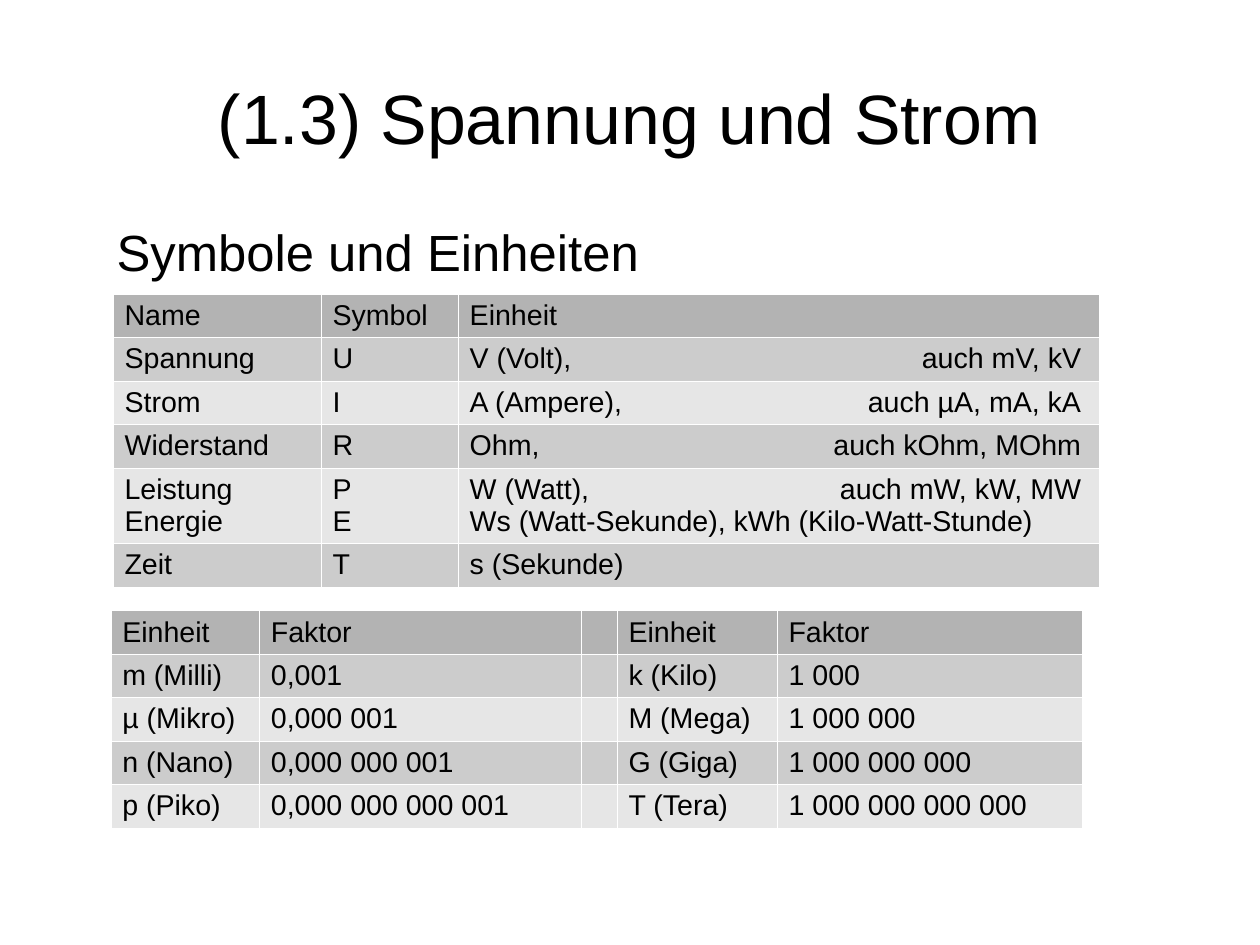
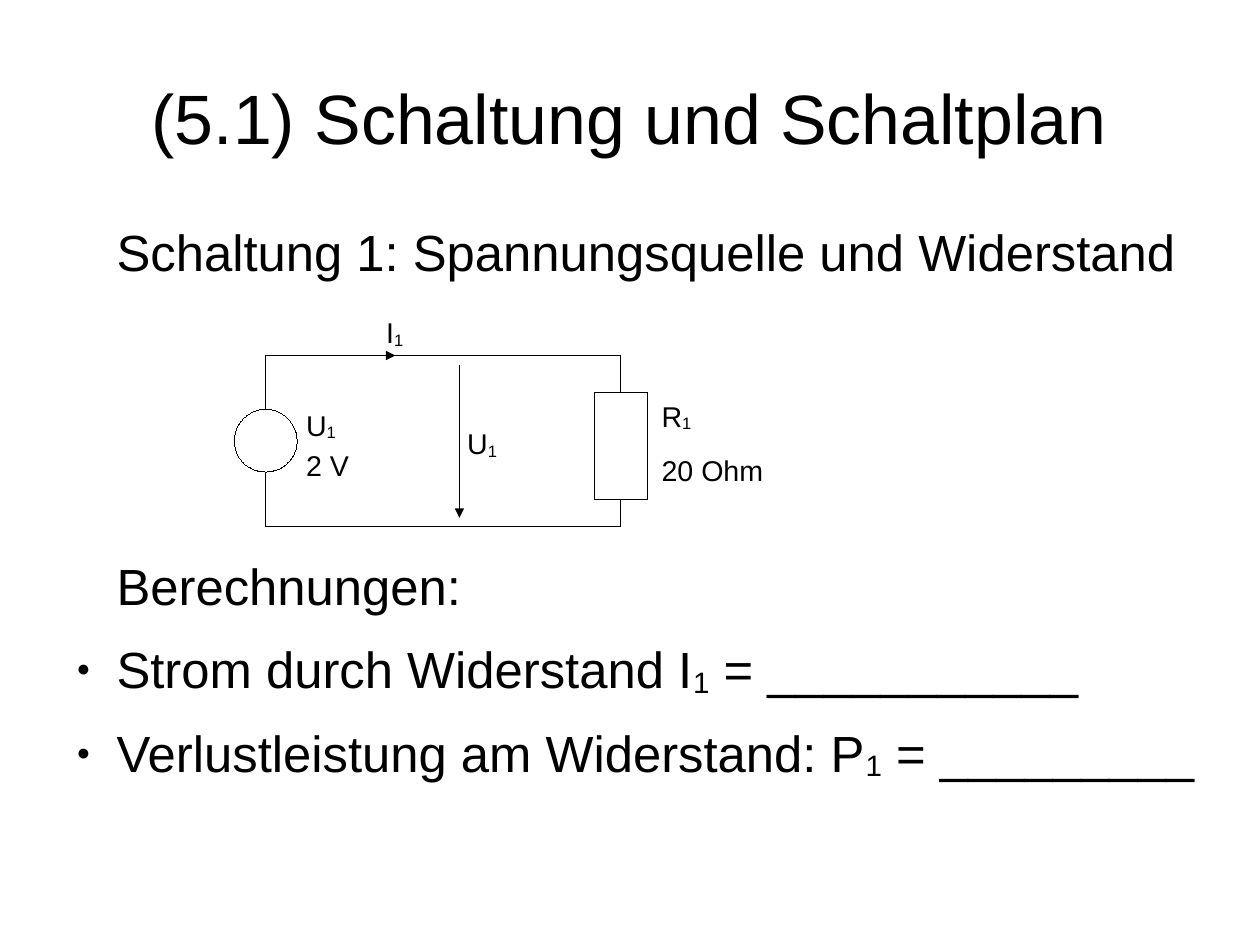
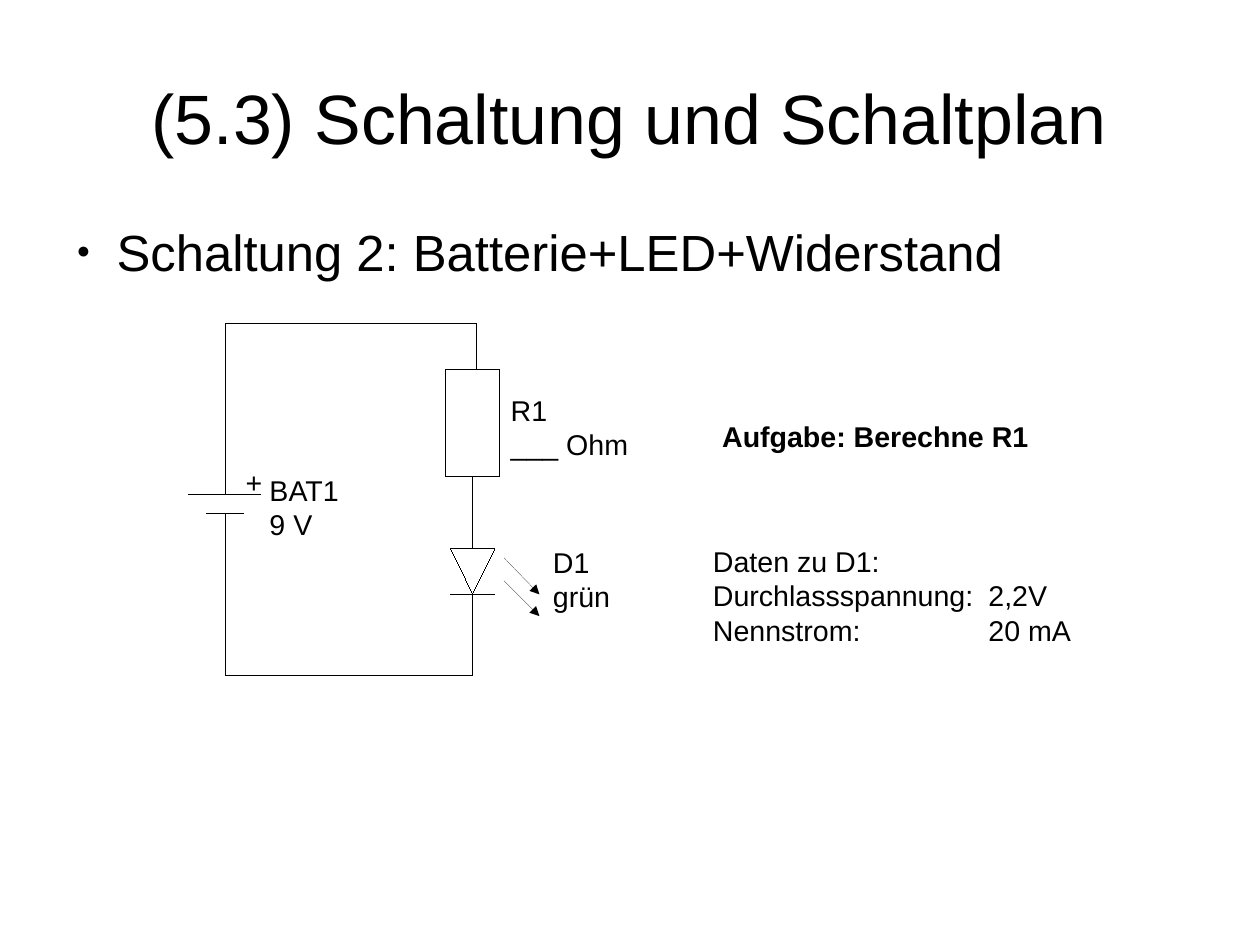
from lxml.etree import SubElement as Sub
from pptx import Presentation
from pptx.dml.color import RGBColor
from pptx.enum.shapes import MSO_CONNECTOR as Link, MSO_SHAPE as Form
from pptx.enum.text import MSO_ANCHOR as Anchor, MSO_AUTO_SIZE as Fit, PP_ALIGN as Align
from pptx.oxml.ns import qn
from pptx.util import Emu, Inches, Pt

BLACK = RGBColor(0, 0, 0)
WHITE = RGBColor(255, 255, 255)
HEAD = RGBColor(0xB3, 0xB3, 0xB3)
BANDS = (RGBColor(0xE6, 0xE6, 0xE6), RGBColor(0xCC, 0xCC, 0xCC))
FONT = "Arial"
WIDE, HIGH = Emu(10080625), Emu(7559675)  # 28 by 21 cm screen page
TITLE_BOX = (0.55, 0.33, 9.92, 1.38)
BODY_BOX = (0.55, 1.93, 9.92, 4.79)
GAP = 14.2      # points between body lines
DRAW_GAP = 172  # points left free for a drawing
ROW, LINE = 0.38, 0.28

# A line of text is a tuple of runs; every second run is a subscript.
# Body lines: runs, bullet, space before
UNITS = {
    "title": "(1.3) Spannung und Strom",
    "body": [(("Symbole und Einheiten",), False, GAP)],
    "tables": [
        ((0.99, 2.57), (1.82, 1.2, 5.61), [
            ("Name", "Symbol", "Einheit"),
            ("Spannung", "U", "V (Volt),\tauch mV, kV"),
            ("Strom", "I", "A (Ampere),\tauch µA, mA, kA"),
            ("Widerstand", "R", "Ohm,\tauch kOhm, MOhm"),
            ("Leistung\nEnergie", "P\nE",
             "W (Watt),\tauch mW, kW, MW\nWs (Watt-Sekunde), kWh (Kilo-Watt-Stunde)"),
            ("Zeit", "T", "s (Sekunde)"),
        ]),
        ((0.97, 5.34), (1.3, 2.81, 0.32, 1.4, 2.67), [
            ("Einheit", "Faktor", "", "Einheit", "Faktor"),
            ("m (Milli)", "0,001", "", "k (Kilo)", "1 000"),
            ("µ (Mikro)", "0,000 001", "", "M (Mega)", "1 000 000"),
            ("n (Nano)", "0,000 000 001", "", "G (Giga)", "1 000 000 000"),
            ("p (Piko)", "0,000 000 000 001", "", "T (Tera)", "1 000 000 000 000"),
        ]),
    ],
}
SOURCE = {
    "title": "(5.1) Schaltung und Schaltplan",
    "body": [
        (("Schaltung 1: Spannungsquelle und Widerstand",), False, GAP),
        (("Berechnungen:",), False, DRAW_GAP),
        (("Strom durch Widerstand I", "1", " = ___________"), True, GAP),
        (("Verlustleistung am Widerstand: P", "1", " = _________"), True, GAP),
    ],
    "parts": [
        (Form.OVAL, (2.05, 3.58, 0.55, 0.55)),
        (Form.RECTANGLE, (5.2, 3.43, 0.47, 0.94)),
    ],
    "wires": [
        [(2.32, 3.58), (2.32, 3.11), (5.43, 3.11), (5.43, 3.43)],
        [(2.32, 4.13), (2.32, 4.61), (5.43, 4.61), (5.43, 4.37)],
    ],
    "arrows": [
        [(4.02, 3.19), (4.02, 4.53)],
        [(3.31, 3.11), (3.46, 3.11)],
    ],
    "labels": [
        ((3.28, 2.71, 0.35, 0.46), [("I", "1")]),
        ((3.99, 3.68, 0.46, 0.46), [("U", "1")]),
        ((5.69, 3.44, 0.46, 0.46), [("R", "1")]),
        ((2.58, 3.52, 0.46, 0.46), [("U", "1")]),
        ((2.58, 3.87, 0.6, 0.38), [("2 V",)]),
        ((5.69, 3.91, 1.09, 0.38), [("20 Ohm",)]),
    ],
}
DIODE = {
    "title": "(5.3) Schaltung und Schaltplan",
    "body": [(("Schaltung 2: Batterie+LED+Widerstand",), True, GAP)],
    "parts": [
        (Form.RECTANGLE, (3.9, 3.23, 0.47, 0.94)),
        (Form.ISOSCELES_TRIANGLE, (3.94, 4.8, 0.39, 0.39)),
    ],
    "wires": [
        [(1.65, 4.33), (2.28, 4.33)],
        [(1.81, 4.49), (2.13, 4.49)],
        [(3.94, 5.2), (4.33, 5.2)],
        [(1.97, 4.33), (1.97, 2.83), (4.17, 2.83), (4.17, 3.23)],
        [(4.13, 4.17), (4.13, 4.8)],
        [(1.97, 4.49), (1.97, 5.91), (4.13, 5.91), (4.13, 5.2)],
    ],
    "arrows": [
        [(4.41, 4.88), (4.72, 5.2)],
        [(4.41, 5.08), (4.72, 5.39)],
    ],
    "labels": [
        ((2.05, 4.02, 0.34, 0.38), [("+",)]),
        ((4.37, 3.39, 1.23, 0.66), [("R1",), ("___ Ohm",)]),
        ((2.26, 4.09, 0.83, 0.66), [("BAT1",), ("9 V",)]),
        ((4.74, 4.72, 0.7, 0.66), [("D1",), ("grün",)]),
        ((6.14, 4.71, 3.33, 0.94),
         [("Daten zu D1:",), ("Durchlassspannung:\t2,2V",), ("Nennstrom:\t20 mA",)]),
    ],
    "task": ((6.22, 3.62, 2.88, 0.38), [("Aufgabe: Berechne R1",)]),
}


def scale(nums):
    """Turn plain numbers into lengths."""
    return [Inches(n) for n in nums]


def place(shape, box):
    """Move and size a shape."""
    shape.left, shape.top, shape.width, shape.height = scale(box)


def write(para, runs, size=18, bold=False):
    """Add runs to a paragraph, every second one as a subscript."""
    for i, text in enumerate(runs):
        run = para.add_run()
        run.text = text
        font = run.font
        font.name, font.size, font.bold = FONT, Pt(size), bold
        font.color.rgb = BLACK
        if i % 2:
            run._r.get_or_add_rPr().set("baseline", "-8000")


def fill(frame, lines, tab, side, bold=False):
    """Write lines into a frame, with a tab stop where one is used."""
    for i, runs in enumerate(lines):
        para = frame.add_paragraph() if i else frame.paragraphs[0]
        if "\t" in runs[0]:
            stops = Sub(para._p.get_or_add_pPr(), qn("a:tabLst"))
            Sub(stops, qn("a:tab"), pos=str(Inches(tab)), algn=side)
        write(para, runs, bold=bold)


def indent(para, dot):
    """Set the body indent and, if asked for, the bullet."""
    props = para._p.get_or_add_pPr()
    props.set("marL", str(Inches(0.47)))
    props.set("indent", str(Inches(-0.35) if dot else 0))
    if not dot:
        Sub(props, qn("a:buNone"))
        return
    Sub(Sub(props, qn("a:buClr")), qn("a:srgbClr"), val=str(BLACK))
    Sub(props, qn("a:buSzPct"), val="45000")
    Sub(props, qn("a:buFont"), typeface=FONT)
    Sub(props, qn("a:buChar"), char="●")


def base(layout):
    """Set title and body places once, on the layout."""
    for shape, box in zip(layout.placeholders, (TITLE_BOX, BODY_BOX)):
        place(shape, box)
        frame = shape.text_frame
        frame.margin_left = frame.margin_right = 0
        frame.margin_top = frame.margin_bottom = 0
        frame.auto_size = Fit.NONE
    layout.placeholders[0].text_frame.vertical_anchor = Anchor.MIDDLE


def start(deck, data):
    """Add a slide with its title and body."""
    slide = deck.slides.add_slide(deck.slide_layouts[1])
    head = slide.shapes.title.text_frame.paragraphs[0]
    head.alignment = Align.CENTER
    write(head, (data["title"],), 44)
    frame = slide.placeholders[1].text_frame
    for i, (runs, dot, gap) in enumerate(data["body"]):
        para = frame.add_paragraph() if i else frame.paragraphs[0]
        para.space_before = Pt(gap if i else 0)
        indent(para, dot)
        write(para, runs, 32)
    return slide


def edge(cell):
    """Give a cell thin white borders."""
    props = cell._tc.get_or_add_tcPr()
    for side in ("lnL", "lnR", "lnT", "lnB"):
        line = Sub(props, qn("a:" + side), w=str(Pt(0.06)))
        Sub(Sub(line, qn("a:solidFill")), qn("a:srgbClr"), val=str(WHITE))


def blank(cell):
    """Give an empty cell the table's font, so that its row stays low."""
    props = Sub(cell.text_frame.paragraphs[0]._p, qn("a:endParaRPr"), sz="1800")
    Sub(props, qn("a:latin"), typeface=FONT)


def grid(slide, spot, cols, rows):
    """Draw a banded table."""
    highs = [ROW + LINE * row[0].count("\n") for row in rows]
    box = scale((*spot, sum(cols), sum(highs)))
    table = slide.shapes.add_table(len(rows), len(cols), *box).table
    table.first_row = table.horz_banding = False
    for col, wide in zip(table.columns, cols):
        col.width = Inches(wide)
    for r, row in enumerate(rows):
        table.rows[r].height = Inches(highs[r])
        for c, text in enumerate(row):
            cell = table.cell(r, c)
            edge(cell)
            cell.fill.solid()
            cell.fill.fore_color.rgb = BANDS[r % 2] if r else HEAD
            if text:
                lines = [(line,) for line in text.split("\n")]
                fill(cell.text_frame, lines, 5.35, "r")
            else:
                blank(cell)


def ink(shape):
    """Give a shape a black hairline and return the line element."""
    shape.line.color.rgb = BLACK
    line = shape.line._get_or_add_ln()
    line.set("w", "0")
    return line


def part(slide, form, box):
    """Draw a hollow circuit part; a triangle points down."""
    shape = slide.shapes.add_shape(form, *scale(box))
    shape.shadow.inherit = False
    shape.fill.background()
    ink(shape)
    if form == Form.ISOSCELES_TRIANGLE:
        shape._element.spPr.xfrm.set("flipV", "1")


def wire(slide, spots, tip=False):
    """Join points by straight lines, with an arrow tip if asked for."""
    for a, b in zip(spots, spots[1:]):
        link = slide.shapes.add_connector(Link.STRAIGHT, *scale(a + b))
        line = ink(link)
        if tip:
            Sub(line, qn("a:tailEnd"), type="triangle")
        Sub(link._element.spPr, qn("a:effectLst"))


def label(slide, box, lines, bold=False):
    """Add a text box that keeps its lines unwrapped."""
    frame = slide.shapes.add_textbox(*scale(box)).text_frame
    frame.word_wrap = False
    frame.auto_size = Fit.SHAPE_TO_FIT_TEXT
    fill(frame, lines, 2.41, "l", bold)


def main():
    """Build and save the slides."""
    deck = Presentation()
    deck.slide_width, deck.slide_height = WIDE, HIGH
    deck.element.sldSz.attrib.pop("type", None)
    base(deck.slide_layouts[1])
    for data in (UNITS, SOURCE, DIODE):
        slide = start(deck, data)
        for table in data.get("tables", []):
            grid(slide, *table)
        for item in data.get("parts", []):
            part(slide, *item)
        for spots in data.get("wires", []):
            wire(slide, spots)
        for spots in data.get("arrows", []):
            wire(slide, spots, tip=True)
        for item in data.get("labels", []):
            label(slide, *item)
        if "task" in data:
            label(slide, *data["task"], bold=True)
    deck.save("out.pptx")


main()
